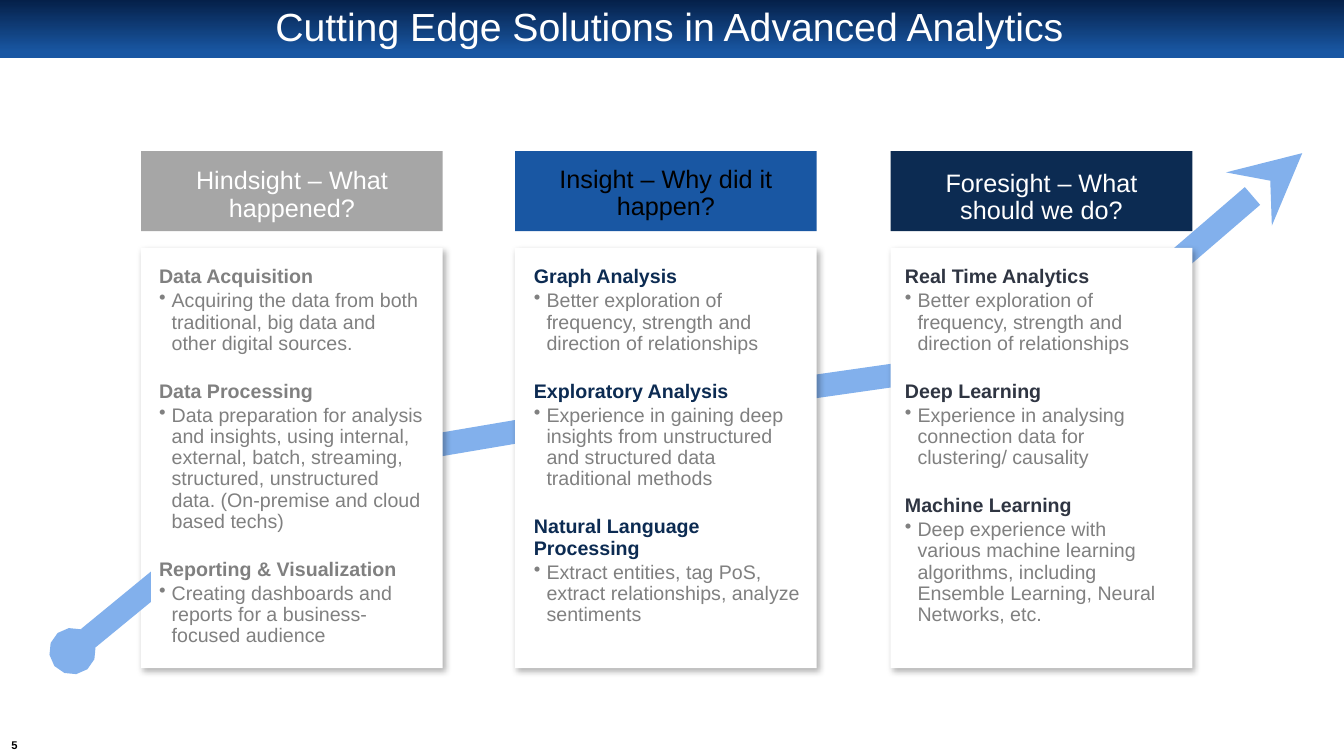
"""Build the advanced analytics slide with three columns over a rising arrow."""
from lxml.etree import SubElement
from pptx import Presentation
from pptx.dml.color import RGBColor
from pptx.enum.shapes import MSO_CONNECTOR as LINE, MSO_SHAPE as SHAPE
from pptx.enum.text import MSO_ANCHOR as ANCHOR, PP_ALIGN as ALIGN
from pptx.oxml.ns import qn
from pptx.util import Pt

TITLE = "Cutting Edge Solutions in Advanced Analytics"
PAGE = "5"
WHITE, BLACK, GREY, SKY = "FFFFFF", "000000", "808080", "82B0EC"
NAVY, BLUE = "052049", "1957A3"

COLUMNS = [
    dict(left=100.8, inset=7.2, drop=8.6, fill="A6A6A6", ink=WHITE, tone=GREY,
         head="Hindsight – What happened?",
         items=[
             ("Data Acquisition",
              "Acquiring the data from both traditional, big data and other digital sources."),
             ("Data Processing",
              "Data preparation for analysis and insights, using internal, external, batch, "
              "streaming, structured, unstructured data. (On-premise and cloud based techs)"),
             ("Reporting & Visualization",
              "Creating dashboards and reports for a business-focused audience"),
         ]),
    dict(left=367.9, inset=7.9, drop=7.2, fill=BLUE, ink=BLACK, tone="0C2B52",
         head="Insight – Why did it happen?",
         items=[
             ("Graph Analysis",
              "Better exploration of frequency, strength and direction of relationships"),
             ("Exploratory Analysis",
              "Experience in gaining deep insights from unstructured and structured data "
              "traditional methods"),
             ("Natural Language Processing",
              "Extract entities, tag PoS, extract relationships, analyze sentiments"),
         ]),
    dict(left=636.2, inset=4.6, drop=10.1, fill="0C2B52", ink=WHITE, tone="2F3542",
         head="Foresight – What should we do?",
         items=[
             ("Real Time Analytics",
              "Better exploration of frequency, strength and direction of relationships"),
             ("Deep Learning",
              "Experience in analysing connection data for clustering/ causality"),
             ("Machine Learning",
              "Deep experience with various machine learning algorithms, including "
              "Ensemble Learning, Neural Networks, etc."),
         ]),
]

BACK = [
    ((463.7, 293), (740.9, 253.4), "oval", "sm"),
    ((930.2, 109.4), (734.4, 277.9), "stealth", "med"),
    ((208.8, 335.5), (463.7, 292.3), "oval", "sm"),
]
FRONT = ((51.8, 465.1), (208.8, 336.2), "oval", "sm")

WIDE, HEAD_TOP, HEAD_HIGH = 215.5, 108, 57.2
CARD_TOP, CARD_HIGH = 177.1, 300.2
PANEL_TOP, PANEL_WIDE, PANEL_HIGH = 185, 201.6, 288
LABEL_WIDE, LABEL_HIGH = 187.2, 46.8

deck = Presentation()
deck.slide_width, deck.slide_height = Pt(960), Pt(540)
slide = deck.slides.add_slide(deck.slide_layouts[6])
shapes = slide.shapes


def hue(code):
    return RGBColor.from_string(code)


def block(x, y, w, h, fill=None, kind=SHAPE.RECTANGLE):
    box = shapes.add_shape(kind, Pt(x), Pt(y), Pt(w), Pt(h))
    box.shadow.inherit = False
    box.line.fill.background()
    if fill:
        box.fill.solid()
        box.fill.fore_color.rgb = hue(fill)
    return box


def shade(box):
    glow = SubElement(box._element.spPr.find(qn("a:effectLst")), qn("a:outerShdw"),
                      blurRad=str(Pt(4.5)), dist=str(Pt(2.6)), dir=str(53 * 60000),
                      algn="tl", rotWithShape="0")
    ink = SubElement(glow, qn("a:srgbClr"), val=BLACK)
    SubElement(ink, qn("a:alpha"), val="30000")


def stroke(start, end, tip, size):
    link = shapes.add_connector(LINE.STRAIGHT, *map(Pt, start + end))
    link.line.width = Pt(16.75)
    link.line.color.rgb = hue(SKY)
    SubElement(link.line._get_or_add_ln(), qn("a:headEnd"), type=tip, w=size, len=size)
    SubElement(link._element.spPr, qn("a:effectLst"))


def frame(x, y, w, h):
    return shapes.add_textbox(Pt(x), Pt(y), Pt(w), Pt(h))


def write(box, text, size=14, color=BLACK, bold=False, align=ALIGN.LEFT, anchor=ANCHOR.TOP,
          pad=None, wrap=True, space=0.9, before=0, after=0, bullet=False, more=False):
    body = box.text_frame
    body.word_wrap, body.vertical_anchor = wrap, anchor
    if pad is not None:
        body.margin_left = body.margin_right = Pt(pad)
        body.margin_top = body.margin_bottom = Pt(pad)
    para = body.add_paragraph() if more else body.paragraphs[0]
    para.alignment, para.line_spacing = align, space
    para.space_before, para.space_after = Pt(before), Pt(after)
    if bullet:
        props = para._p.get_or_add_pPr()
        props.set("marL", str(Pt(9)))
        props.set("indent", str(-Pt(9)))
        SubElement(props, qn("a:buChar"), char="•")
    run = para.add_run()
    run.text = text
    font = run.font
    font.name, font.size, font.bold = "Arial", Pt(size), bold
    font.color.rgb = hue(color)


def banner():
    bar = block(0, 0, 960, 41.5)
    bar.fill.gradient()
    bar.fill.gradient_angle = 270
    for stop, code, place in zip(bar.fill.gradient_stops, (NAVY, BLUE), (0, 0.9)):
        stop.color.rgb, stop.position = hue(code), place
    write(frame(47.5, 4.3, 861, 32.4), TITLE, size=28, color=WHITE,
          align=ALIGN.CENTER, anchor=ANCHOR.MIDDLE)
    write(frame(1.4, 525.6, 18, 13.7), PAGE, size=8, bold=True, pad=0, wrap=False,
          space=1, align=ALIGN.CENTER, anchor=ANCHOR.MIDDLE)


def column(left, inset, drop, fill, ink, tone, head, items):
    block(left, HEAD_TOP, WIDE, HEAD_HIGH, fill)
    label = frame(left + (WIDE - LABEL_WIDE) / 2, HEAD_TOP + drop, LABEL_WIDE, LABEL_HIGH)
    write(label, head, size=18, color=ink, align=ALIGN.CENTER)
    panel = block(left + inset, PANEL_TOP, PANEL_WIDE, PANEL_HIGH, WHITE)
    for i, (topic, detail) in enumerate(items):
        write(panel, topic, color=tone, bold=True, pad=5.6, after=2.1,
              before=17 if i else 0, more=i > 0)
        write(panel, detail, color=GREY, pad=5.6, after=2.1, bullet=True, more=True)


banner()
for link in BACK:
    stroke(*link)
for col in COLUMNS:
    shade(block(col["left"], CARD_TOP, WIDE, CARD_HIGH, WHITE))
stroke(*FRONT)
for col in COLUMNS:
    column(**col)
deck.save("out.pptx")
